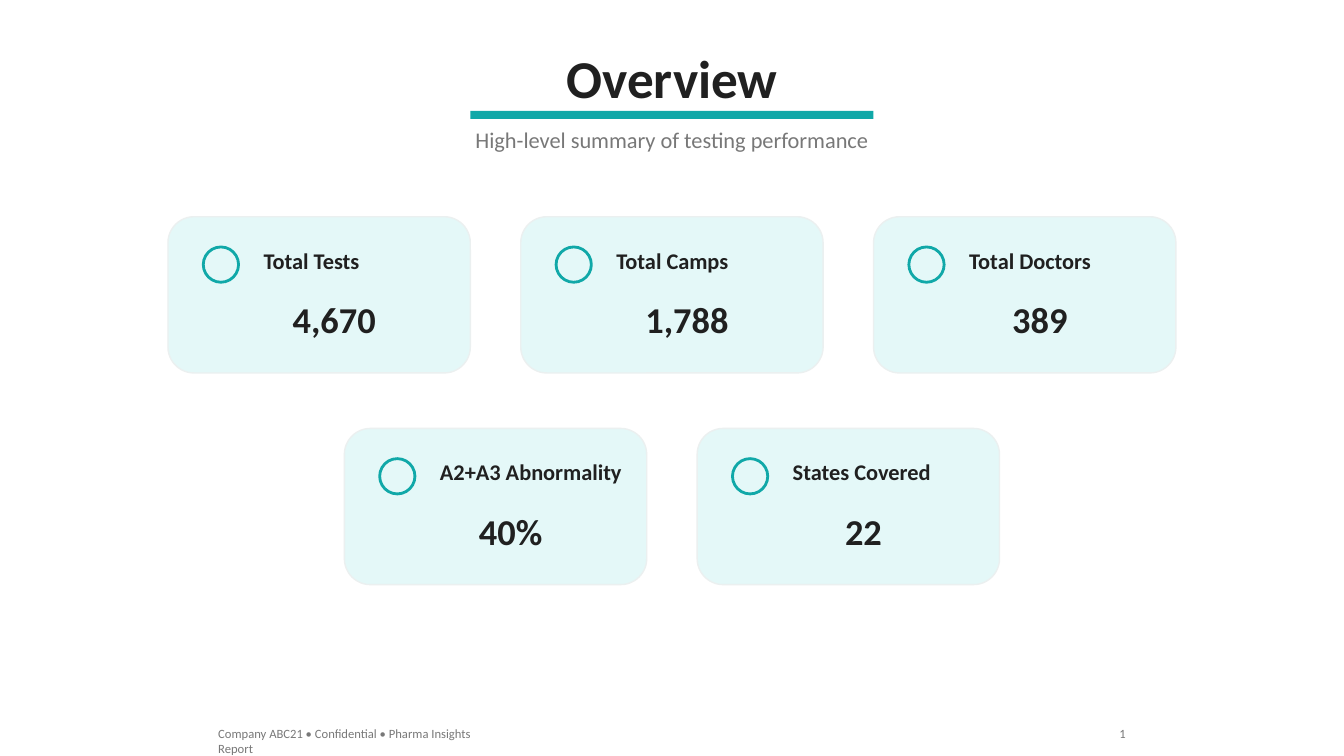
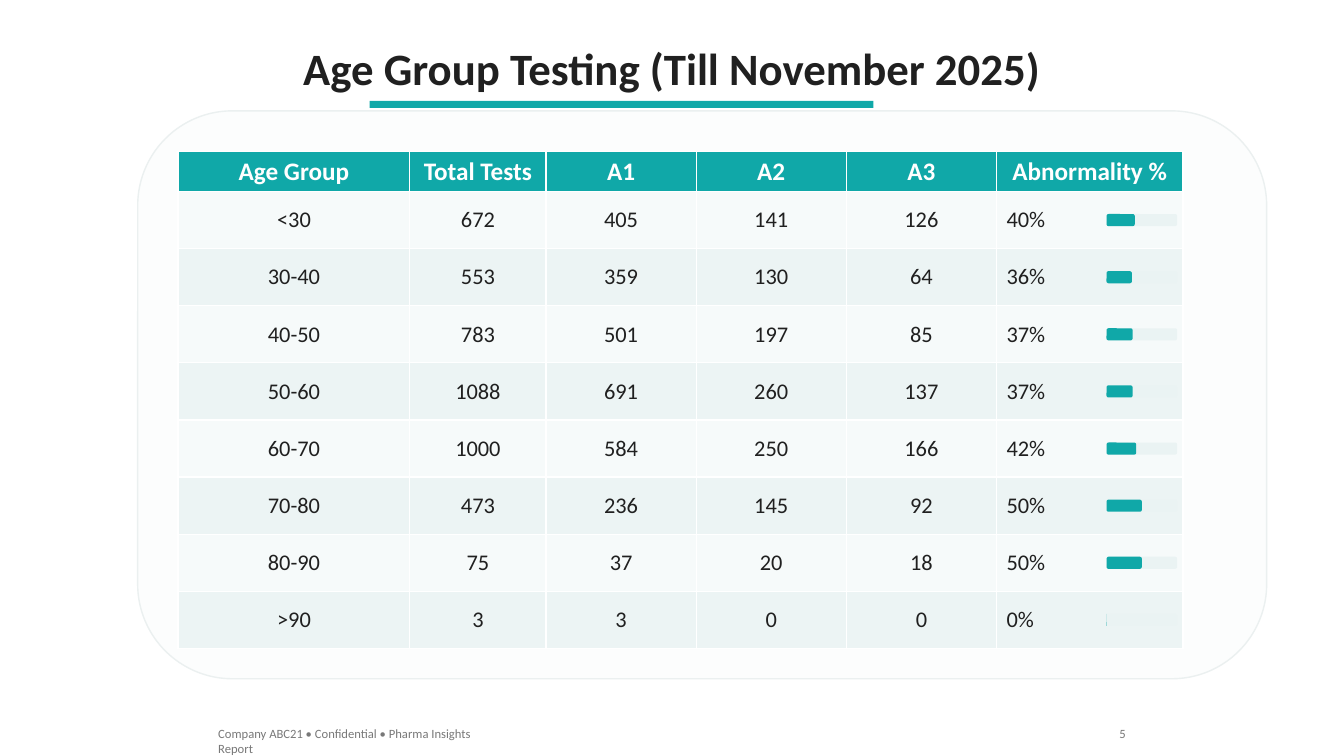
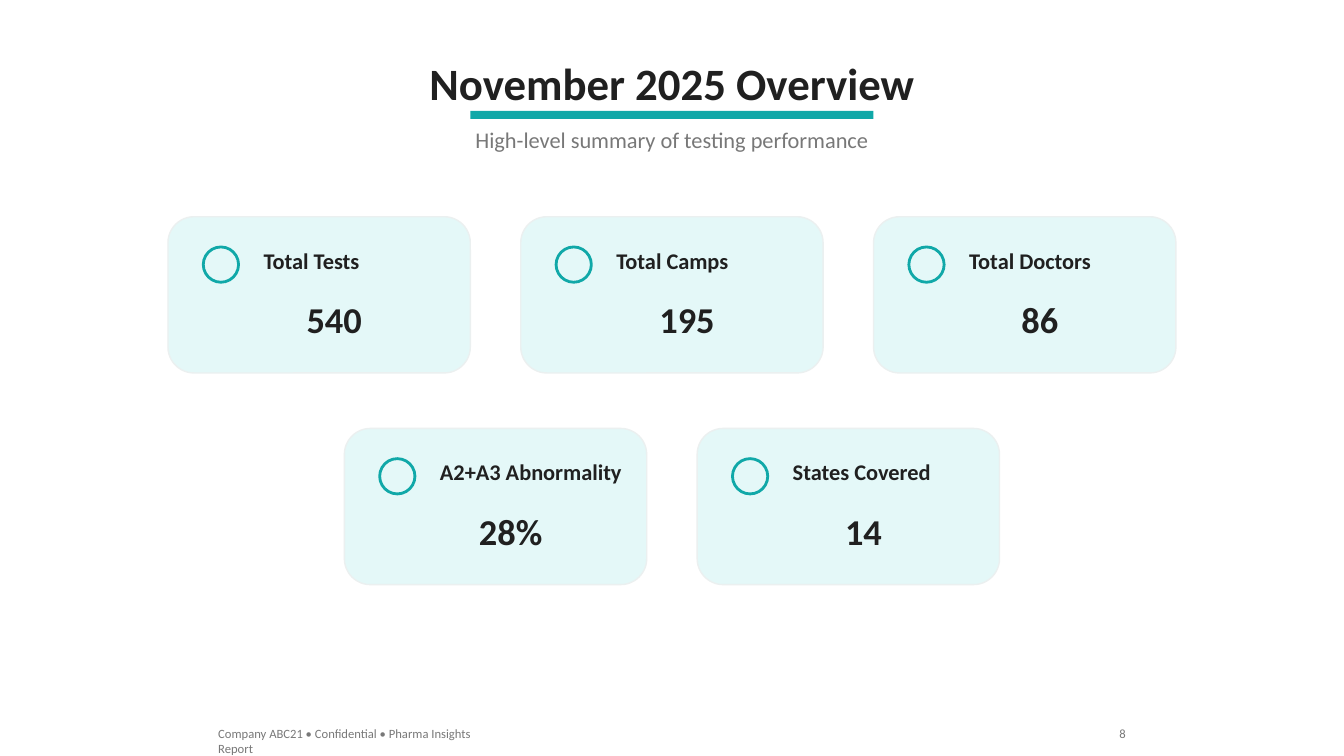
from dataclasses import dataclass

from pptx import Presentation
from pptx.dml.color import RGBColor
from pptx.enum import shapes, text
from pptx.util import Pt

MSO = shapes.MSO_SHAPE
ALIGN = text.PP_ALIGN


@dataclass(frozen=True)
class Theme:
    font: str = "Calibri"
    ink: str = "202020"
    muted: str = "787878"
    accent: str = "10A8A8"
    white: str = "FFFFFF"
    card: str = "E4F8F8"
    panel: str = "FCFDFD"
    border: str = "EBF0F0"
    track: str = "EAF3F3"
    bands: tuple = ("F6FAFA", "ECF4F4")
    title: int = 32
    big_title: int = 38
    value: int = 26
    header: int = 18
    body: int = 16
    footer: int = 9


T = Theme()
SLIDE_W, SLIDE_H = 960, 540
FOOTER = "Company ABC21 • Confidential • Pharma Insights Report"
SUBTITLE = "High-level summary of testing performance"
CARD_LABELS = ("Total Tests", "Total Camps", "Total Doctors",
               "A2+A3 Abnormality", "States Covered")
CARD_W, CARD_H, CARD_GAP = 216, 111.6, 36
CARD_TOP, CARD_PITCH, CARDS_PER_ROW = 154.8, 151.2, 3

AGE_HEADER = ("Age Group", "Total Tests", "A1", "A2", "A3", "Abnormality %")
AGE_ROWS = (
    ("<30", 672, 405, 141, 126, 40),
    ("30-40", 553, 359, 130, 64, 36),
    ("40-50", 783, 501, 197, 85, 37),
    ("50-60", 1088, 691, 260, 137, 37),
    ("60-70", 1000, 584, 250, 166, 42),
    ("70-80", 473, 236, 145, 92, 50),
    ("80-90", 75, 37, 20, 18, 50),
    (">90", 3, 3, 0, 0, 0),
)
COL_WIDTHS = (165.6, 97.2, 107.28, 107.28, 107.28, 133.2)
TABLE_LEFT, TABLE_TOP, HEADER_H, ROW_H = 127.2, 108, 28.8, 40.8
BAR_LEFT, BAR_W, BAR_H = 790.4, 50.4, 8.64


def rgb(color):
    return RGBColor.from_string(color)


def style(p, size, color, bold, align):
    p.alignment = align
    f = p.font
    f.name, f.size, f.bold = T.font, Pt(size), bold
    f.color.rgb = rgb(color)


def add_text(s, words, x, y, w, size, color=T.ink, bold=False, align=ALIGN.LEFT):
    tf = s.shapes.add_textbox(Pt(x), Pt(y), Pt(w), Pt(size * 1.22 + 7.2)).text_frame
    tf.word_wrap = True
    p = tf.paragraphs[0]
    p.text = words
    style(p, size, color, bold, align)


def add_box(s, kind, x, y, w, h, fill=None, line=None, weight=1):
    sp = s.shapes.add_shape(kind, Pt(x), Pt(y), Pt(w), Pt(h))
    sp.shadow.inherit = False
    if fill:
        sp.fill.solid()
        sp.fill.fore_color.rgb = rgb(fill)
    else:
        sp.fill.background()
    if line:
        sp.line.color.rgb = rgb(line)
        sp.line.width = Pt(weight)
    else:
        sp.line.fill.background()


def add_slide(prs, title, size, title_top, rule, number):
    """Add a slide with title, accent rule (top, width, height, left) and footer."""
    s = prs.slides.add_slide(prs.slide_layouts[6])
    add_text(s, title, 180, title_top, 600, size, bold=True, align=ALIGN.CENTER)
    top, width, height, left = rule
    add_box(s, MSO.RECTANGLE, left, top, width, height, fill=T.accent)
    add_text(s, FOOTER, 148.8, 514.8, 220, T.footer, T.muted)
    add_text(s, str(number), 771.2, 514.8, 40, T.footer, T.muted, align=ALIGN.RIGHT)
    return s


def add_card(s, x, y, label, value):
    add_box(s, MSO.ROUNDED_RECTANGLE, x, y, CARD_W, CARD_H, T.card, T.border)
    add_box(s, MSO.OVAL, x + 25.2, y + 21.6, 25.2, 25.2, line=T.accent, weight=2)
    add_text(s, label, x + 61.2, y + 18, 150, T.body, bold=True)
    add_text(s, value, x + 68.4, y + 54, 100.8, T.value, bold=True, align=ALIGN.CENTER)


def overview_slide(prs, title, size, title_top, number, values):
    s = add_slide(prs, title, size, title_top, (79.2, 288, 5.76, 336), number)
    add_text(s, SUBTITLE, 320, 86.4, 320, T.body, T.muted, align=ALIGN.CENTER)
    cards = list(zip(CARD_LABELS, values))
    for start in range(0, len(cards), CARDS_PER_ROW):
        row = cards[start:start + CARDS_PER_ROW]
        y = CARD_TOP + start // CARDS_PER_ROW * CARD_PITCH
        left = (SLIDE_W - len(row) * (CARD_W + CARD_GAP) + CARD_GAP) / 2
        for i, (label, value) in enumerate(row):
            add_card(s, left + i * (CARD_W + CARD_GAP), y, label, value)


def fill_cell(cell, words, fill, size, color, bold, align):
    cell.fill.solid()
    cell.fill.fore_color.rgb = rgb(fill)
    cell.vertical_anchor = text.MSO_ANCHOR.MIDDLE
    cell.text = words
    style(cell.text_frame.paragraphs[0], size, color, bold, align)


def add_age_table(s):
    height = HEADER_H + len(AGE_ROWS) * ROW_H
    table = s.shapes.add_table(len(AGE_ROWS) + 1, len(AGE_HEADER), Pt(TABLE_LEFT),
                               Pt(TABLE_TOP), Pt(sum(COL_WIDTHS)), Pt(height)).table
    for col, width in zip(table.columns, COL_WIDTHS):
        col.width = Pt(width)
    for i, row in enumerate(table.rows):
        row.height = Pt(ROW_H if i else HEADER_H)
    for c, words in enumerate(AGE_HEADER):
        fill_cell(table.cell(0, c), words, T.accent, T.header, T.white, True, ALIGN.CENTER)
    for r, (*counts, percent) in enumerate(AGE_ROWS):
        for c, words in enumerate([*counts, f"{percent}%"]):
            align = ALIGN.CENTER if c < len(counts) else ALIGN.LEFT
            fill_cell(table.cell(r + 1, c), str(words), T.bands[r % 2],
                      T.body, T.ink, False, align)


def add_percent_bars(s):
    for r, row in enumerate(AGE_ROWS):
        y = TABLE_TOP + HEADER_H + r * ROW_H + (ROW_H - BAR_H) / 2
        filled = max(BAR_W * row[-1] / 100, 0.1)
        for width, color in ((BAR_W, T.track), (filled, T.accent)):
            add_box(s, MSO.ROUNDED_RECTANGLE, BAR_LEFT, y, width, BAR_H, color)


def age_slide(prs):
    s = add_slide(prs, "Age Group Testing (Till November 2025)", T.title, 25.2,
                  (72, 360, 5.04, 264), 5)
    add_box(s, MSO.ROUNDED_RECTANGLE, 98.4, 79.2, 806.4, 405.6, T.panel, T.border)
    add_age_table(s)
    add_percent_bars(s)


def main():
    prs = Presentation()
    prs.slide_width, prs.slide_height = Pt(SLIDE_W), Pt(SLIDE_H)
    overview_slide(prs, "Overview", T.big_title, 28.8, 1,
                   ("4,670", "1,788", "389", "40%", "22"))
    age_slide(prs)
    overview_slide(prs, "November 2025 Overview", T.title, 36, 8,
                   ("540", "195", "86", "28%", "14"))
    prs.save("out.pptx")


if __name__ == "__main__":
    main()
